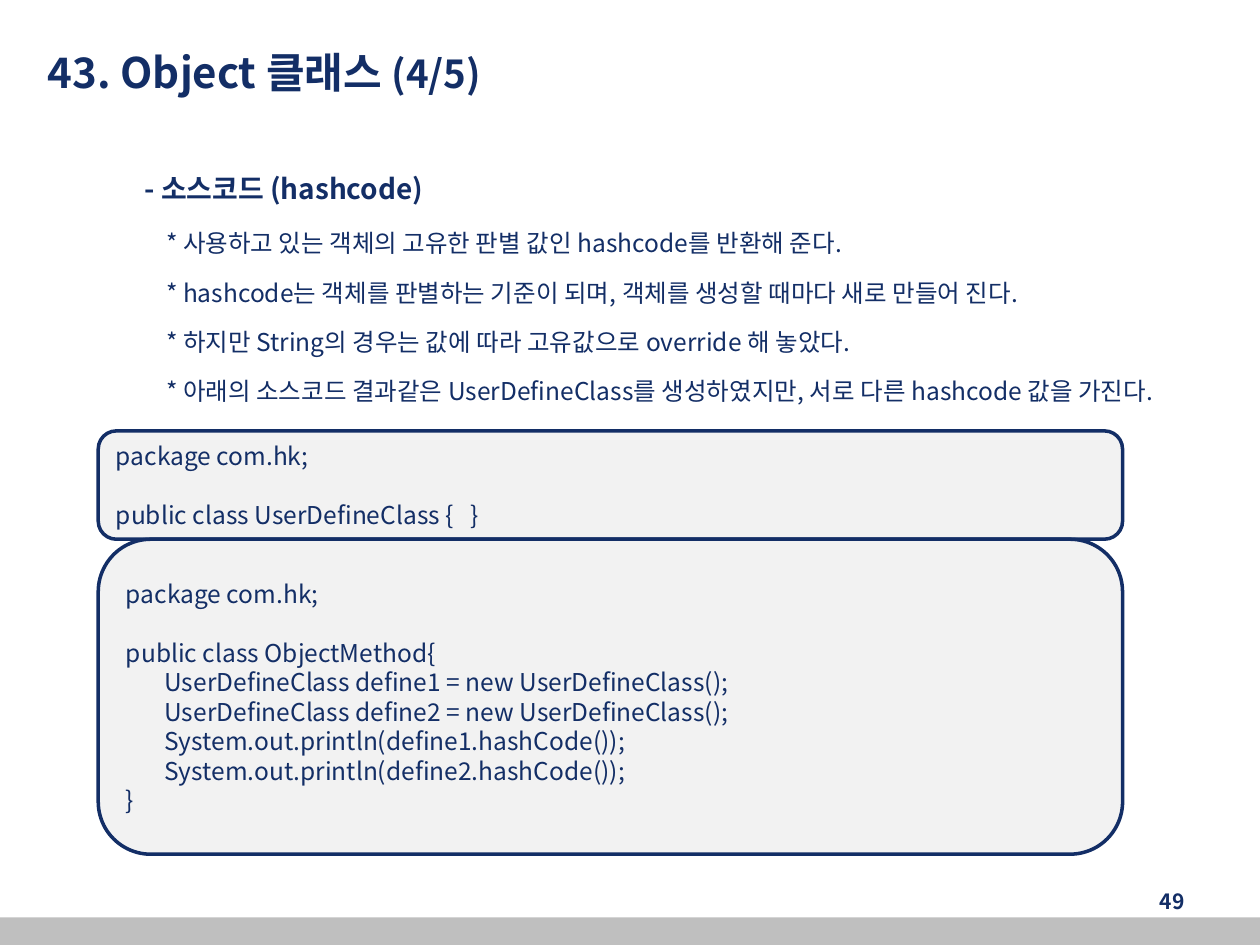
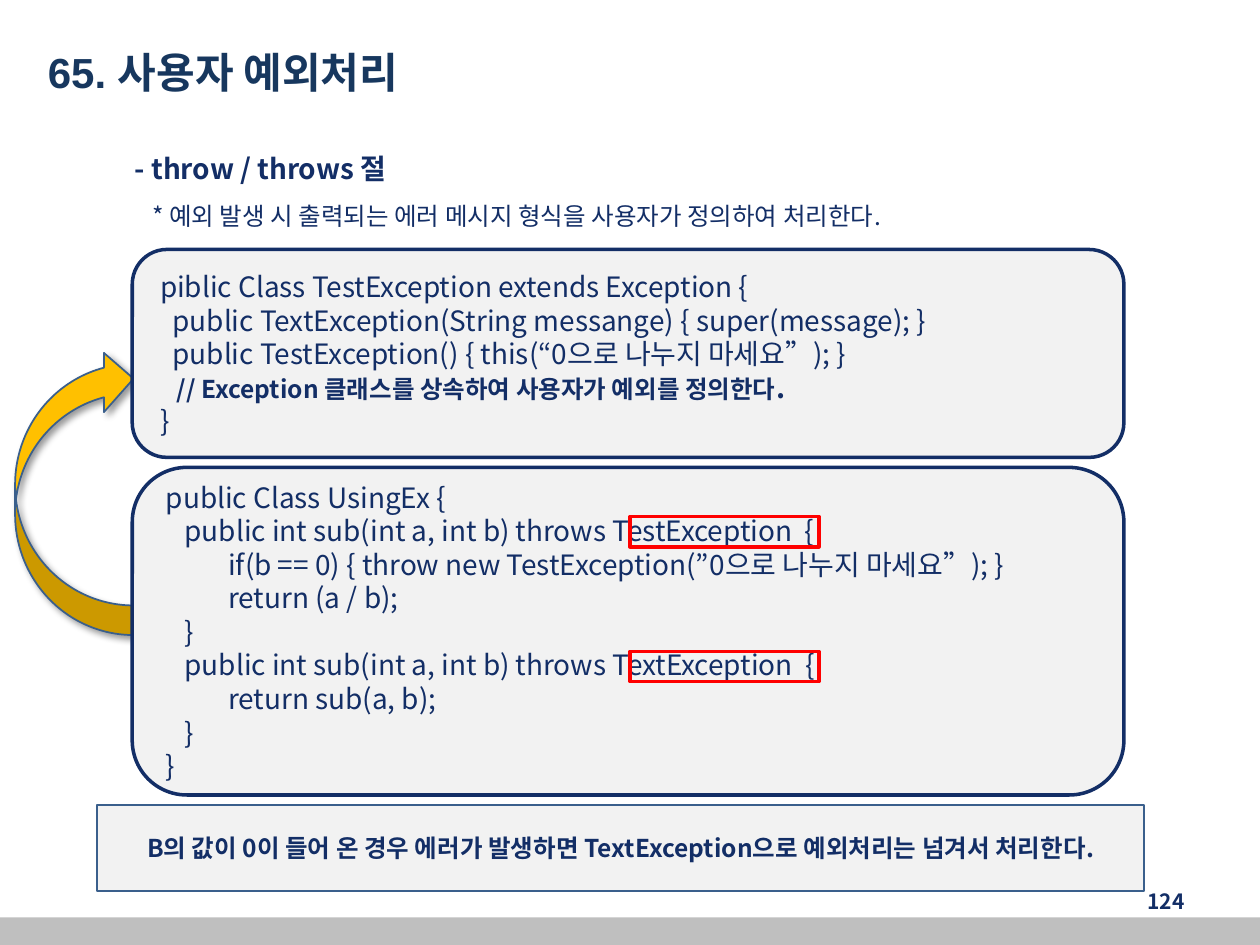
import dataclasses

import lxml.etree
import pptx
import pptx.dml.color
import pptx.enum.shapes
import pptx.enum.text
import pptx.oxml
import pptx.oxml.ns
import pptx.util

SHAPES = pptx.enum.shapes.MSO_SHAPE
ALIGN = pptx.enum.text.PP_ALIGN
MIDDLE = pptx.enum.text.MSO_ANCHOR.MIDDLE
POINTS = pptx.util.Pt


@dataclasses.dataclass(frozen=True)
class Theme:
    navy: str = "132E66"
    slate: str = "17375E"
    edge: str = "3A5F8C"
    panel: str = "F2F2F2"
    band: str = "BFBFBF"
    arrow: str = "FFC000"
    mark: str = "FF0000"
    font: str = "Noto Sans CJK KR"
    title: float = 24
    counter: float = 22
    heading: float = 16
    body: float = 14
    number: float = 12
    blank_line: float = 16.75


theme = Theme()
deck = pptx.Presentation()
deck.slide_width = pptx.util.Inches(10)
deck.slide_height = pptx.util.Inches(7.5)
COLUMN = deck.slide_width / 100
ROW = deck.slide_height / 75


def draw(page, kind, area, fill=None, line=None, width=1):
    left, top, columns, rows = area
    place = [round(v) for v in (left * COLUMN, top * ROW, columns * COLUMN, rows * ROW)]
    if kind is None:
        box = page.shapes.add_textbox(*place)
    else:
        box = page.shapes.add_shape(kind, *place)
        box.shadow.inherit = False
        if fill:
            box.fill.solid()
            box.fill.fore_color.rgb = pptx.dml.color.RGBColor.from_string(fill)
        else:
            box.fill.background()
        if line:
            box.line.color.rgb = pptx.dml.color.RGBColor.from_string(line)
            box.line.width = POINTS(width)
        else:
            box.line.fill.background()
    box.text_frame.word_wrap = True
    return box


def write(box, lines, size, bold=False, color=theme.navy, font=theme.font,
          align=ALIGN.LEFT, indent=0, gaps=()):
    frame = box.text_frame
    space = 0
    for index, line in enumerate(lines):
        if not line:
            space = theme.blank_line
            continue
        para = frame.add_paragraph() if frame.text else frame.paragraphs[0]
        para.alignment = align
        para.space_before = POINTS(gaps[index] if gaps else space)
        space = 0
        properties = para._p.get_or_add_pPr()
        properties.set("marL", str(round(indent * COLUMN)))
        properties.set("indent", "0")
        para.font.size = POINTS(size)
        para.font.bold = bold
        para.font.color.rgb = pptx.dml.color.RGBColor.from_string(color)
        para.font.name = font
        east = lxml.etree.SubElement(para.font._element, pptx.oxml.ns.qn("a:ea"))
        east.set("typeface", theme.font)
        for text, run_size, run_bold in [(line, None, None)] if isinstance(line, str) else line:
            span = para.add_run()
            span.text = text
            if run_size:
                span.font.size = POINTS(run_size)
            if run_bold is not None:
                span.font.bold = run_bold


pages = []
for title, title_font, title_color, number in (
    ([("43. Object 클래스 ", None, None), ("(4/5)", theme.counter, None)],
     theme.font, theme.navy, "49"),
    ("65. 사용자 예외처리", "Arial", theme.slate, "124"),
):
    page = deck.slides.add_slide(deck.slide_layouts[5])
    pages.append(page)
    heading = page.shapes.title
    heading.left, heading.top = round(2.8 * COLUMN), round(1.3 * ROW)
    heading.width, heading.height = round(77.6 * COLUMN), round(8.7 * ROW)
    heading.text_frame.vertical_anchor = MIDDLE
    write(heading, [title], theme.title, True, title_color, title_font)
    draw(page, SHAPES.RECTANGLE, (0, 72.8, 100, 2.2), theme.band)
    footer = draw(page, None, (71.7, 69.5, 23.3, 4))
    footer.text_frame.vertical_anchor = MIDDLE
    write(footer, [number], theme.number, True, align=ALIGN.RIGHT)

hashcode_page, exception_page = pages

notes = draw(hashcode_page, None, (10, 13.1, 90, 20))
write(notes, ["- 소스코드 (hashcode)"], theme.heading, True, indent=0.5)
write(notes, [
    "* 사용하고 있는 객체의 고유한 판별 값인 hashcode를 반환해 준다.",
    "* hashcode는 객체를 판별하는 기준이 되며, 객체를 생성할 때마다 새로 만들어 진다.",
    "* 하지만 String의 경우는 값에 따라 고유값으로 override 해 놓았다.",
    "* 아래의 소스코드 결과같은 UserDefineClass를 생성하였지만, 서로 다른 hashcode 값을 가진다.",
], theme.body, indent=2.2, gaps=(13.5, 11.25, 11.25, 11.25))

throws_note = draw(exception_page, None, (9.7, 11.5, 85.9, 7.4))
write(throws_note, ["- throw / throws 절"], theme.heading, True)
write(throws_note, ["* 예외 발생 시 출력되는 에러 메시지 형식을 사용자가 정의하여 처리한다."],
      theme.body, indent=1.4, gaps=(9.5,))

call_arrow = draw(exception_page, SHAPES.CURVED_LEFT_ARROW, (1.2, 27.7, 9.4, 22.7),
                  theme.arrow, theme.edge)
call_arrow.rotation = 180
effects = call_arrow._element.spPr.find(pptx.oxml.ns.qn("a:effectLst"))
effects.append(pptx.oxml.parse_xml(
    '<a:outerShdw xmlns:a="http://schemas.openxmlformats.org/drawingml/2006/main" '
    'blurRad="50800" dist="38100" dir="2700000" algn="tl" rotWithShape="0">'
    '<a:srgbClr val="000000"><a:alpha val="40000"/></a:srgbClr></a:outerShdw>'))

summary = draw(exception_page, SHAPES.RECTANGLE, (7.7, 63.9, 83.1, 6.8), theme.panel, theme.edge)
summary.text_frame.vertical_anchor = MIDDLE
write(summary, ["B의 값이 0이 들어 온 경우 에러가 발생하면 TextException으로 예외처리는 넘겨서 처리한다."],
      theme.body, True, align=ALIGN.CENTER)

for page, area, size, inset, code in (
    (hashcode_page, (7.8, 34.2, 81.3, 8.6), theme.body, 1, [
        "package com.hk;",
        "",
        "public class UserDefineClass {   }",
    ]),
    (hashcode_page, (7.8, 42.8, 81.3, 25), theme.body, 1, [
        "package com.hk;",
        "",
        "public class ObjectMethod{",
        "       UserDefineClass define1 = new UserDefineClass();",
        "       UserDefineClass define2 = new UserDefineClass();",
        "       System.out.println(define1.hashCode());",
        "       System.out.println(define2.hashCode());",
        "}",
    ]),
    (exception_page, (10.5, 19.8, 78.7, 16.5), theme.heading, 1.4, [
        "piblic Class TestException extends Exception {",
        "  public TextException(String messange) { super(message); }",
        "  public TestException() { this(“0으로 나누지 마세요”); }",
        [("   ", theme.body, None),
         ("// Exception 클래스를 상속하여 사용자가 예외를 정의한다", theme.body, True),
         (".", None, True)],
        "}",
    ]),
    (exception_page, (10.5, 37.1, 78.7, 26), theme.heading, 1.4, [
        "public Class UsingEx {",
        "   public int sub(int a, int b) throws TestException  {",
        "          if(b == 0) { throw new TestException(”0으로 나누지 마세요”); }",
        "          return (a / b);",
        "   }",
        "   public int sub(int a, int b) throws TextException  {",
        "          return sub(a, b);",
        "   }",
        "}",
    ]),
):
    panel = draw(page, SHAPES.ROUNDED_RECTANGLE, area, theme.panel, theme.navy, 2)
    panel.text_frame.vertical_anchor = MIDDLE
    panel.text_frame.margin_left = round(inset * COLUMN)
    panel.text_frame.margin_right = 0
    write(panel, code, size)

for row in (41, 51.7):
    draw(exception_page, SHAPES.RECTANGLE, (50, row, 15, 2.4), line=theme.mark, width=2)

deck.save("out.pptx")
